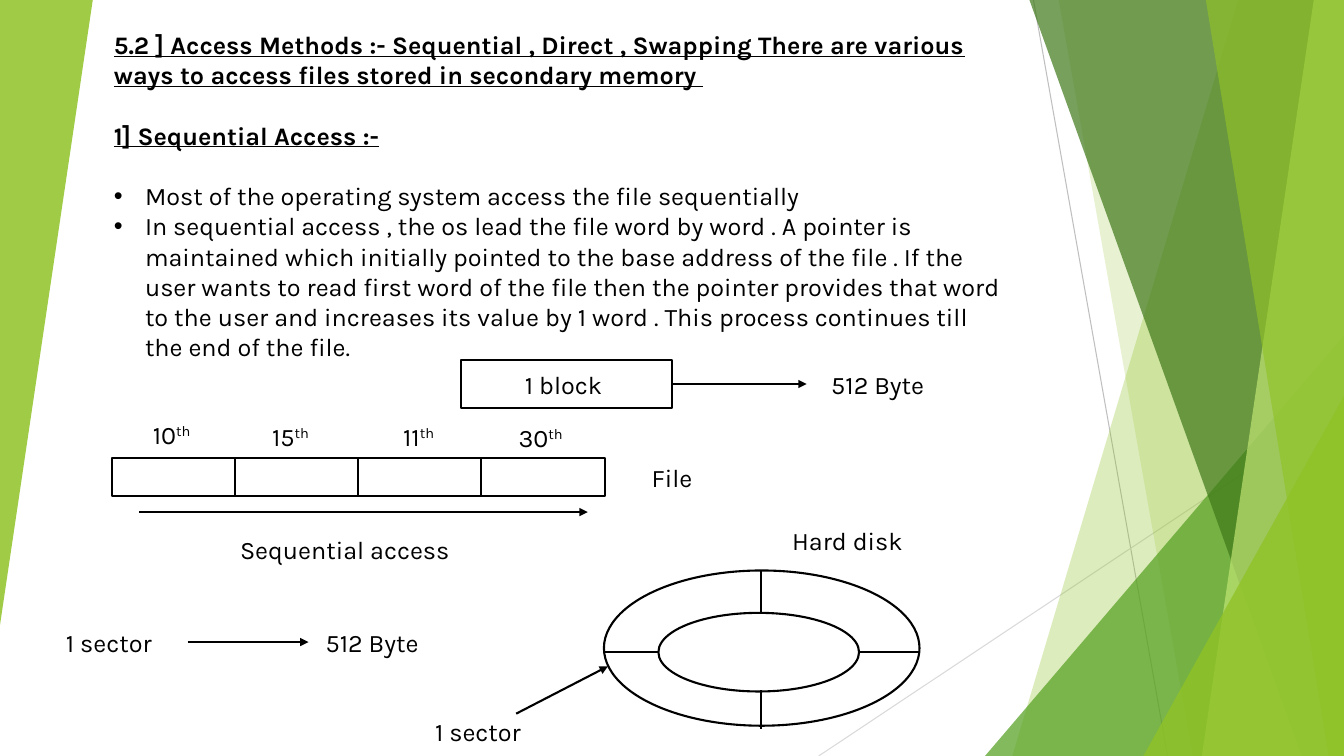
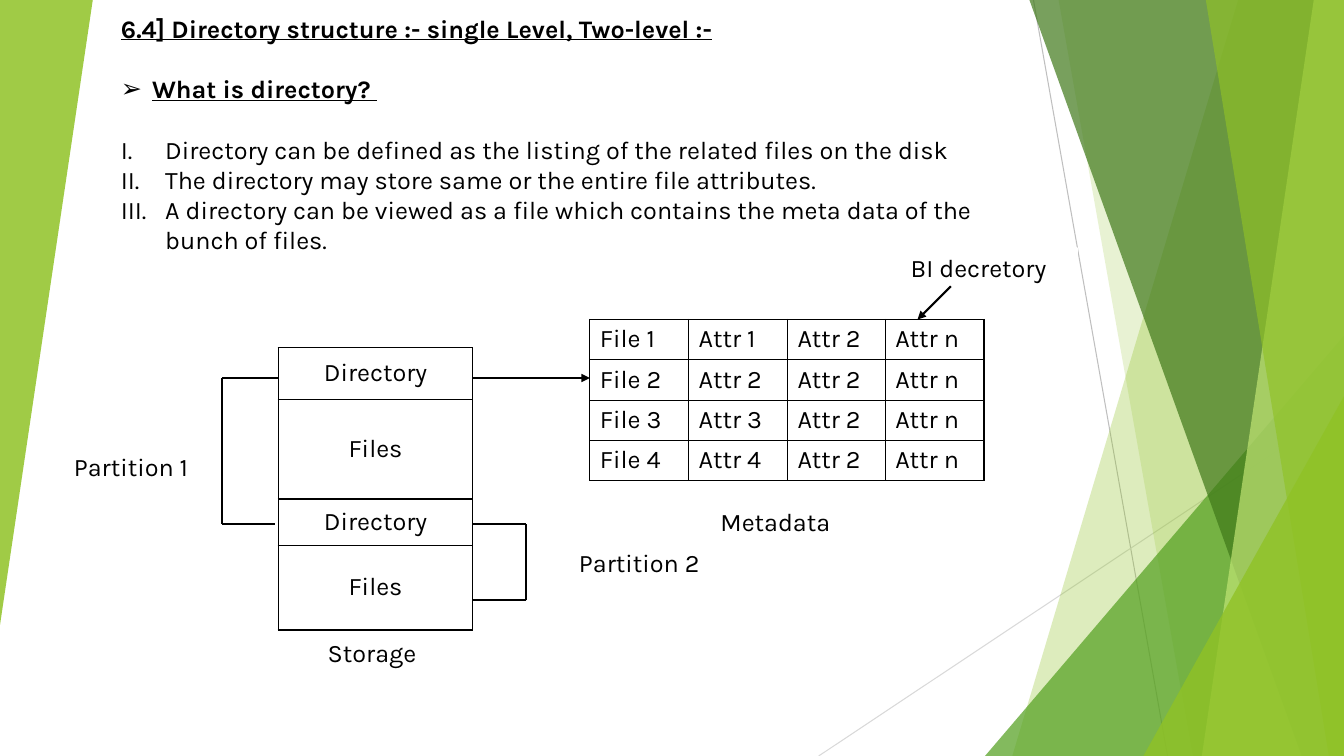
from lxml import etree
from pptx import Presentation
from pptx import util as u
from pptx.dml.color import RGBColor
from pptx.enum import shapes, text
from pptx.oxml import ns

PX = 9144
W, H = 1333, 750
FONT, SIZE = "Karla", 18
LINE_GAP = 21.6
INK, WHITE = "000000", "FFFFFF"
LIME, GREEN, FOREST, PALE = "90C226", "54A021", "3F7819", "C0E474"
RECT, OVAL, TRIANGLE = (shapes.MSO_SHAPE.RECTANGLE, shapes.MSO_SHAPE.OVAL,
                        shapes.MSO_SHAPE.ISOSCELES_TRIANGLE)

THIN_LINES = [((1025, 0), (1158, H), "BFBFBF"), ((W, 403), (812, H), "D9D9D9")]
FACETS = [
    ("band", (1228, 1004), LIME, 30),
    ("band", (1050, 1183), LIME, 20),
    ("triangle", (977, 333, 356, 417, 0), GREEN, 72),
    ("band", (1021, 1291), FOREST, 70),
    ("band", (1303, 1192), PALE, 70),
    ("band", (1196, 1318), LIME, 65),
    ("triangle", (1134, 393, 199, 357, 0), LIME, 80),
    ("triangle", (0, 0, 92, 620, 180), LIME, 85),
]

BULLET = ("buChar", {"char": "•"}, 31)
ARROW = ("buChar", {"char": "➢"}, 31)
ROMAN = ("buAutoNum", {"type": "romanUcPeriod"}, 44)

ACCESS = {
    "title": ("5.2 ] Access Methods :- Sequential , Direct , Swapping There are various "
              "ways to access files stored in secondary memory ", (103, 24, 905, 70)),
    "body": (103, 114, 905, 253),
    "paragraphs": [
        ("1] Sequential Access :-", None, True, False),
        ("Most of the operating system access the file sequentially", BULLET, False, True),
        ("In sequential access , the os lead the file word by word . A pointer is maintained "
         "which initially pointed to the base address of the file . If the user wants to read "
         "first word of the file then the pointer provides that word to the user and increases "
         "its value by 1 word . This process continues till the end of the file.",
         BULLET, False, False),
    ],
    "labels": [
        ("10|th ", (127, 418, 90, 25)), ("15|th ", (245, 418, 90, 29)),
        ("11|th ", (372, 418, 90, 29)), ("30|th ", (493, 418, 90, 31)),
        ("Sequential access ", (127, 528, 436, 35)), ("File ", (617, 461, 105, 25)),
        ("Hard disk ", (770, 519, 147, 35)), ("1 sector ", (418, 708, 118, 35)),
    ],
}
BLOCK = ("1 block ", (457, 357, 210, 48))
BLOCK_SIZE = ("512 Byte ", (800, 361, 147, 40))
SECTOR = ("1 sector ", (36, 613, 150, 48))
SECTOR_SIZE = ("512 Byte ", (306, 613, 132, 48))
FILE_CELLS, FILE_CELL, FILE_STEP = 4, (111, 454, 123, 38), 122
DISK_RINGS = [(599, 566, 313, 154), (653, 608, 199, 78)]
DISK_SPOKES = [((755, 566), (755, 607)), ((599, 647), (653, 647)),
               ((852, 647), (912, 647)), ((755, 685), (755, 723))]
ACCESS_ARROWS = [((138, 508), (583, 508)), ((512, 708), (603, 661))]

DIRECTORY = {
    "title": ("6.4] Directory structure :- single Level, Two-level :-", (110, 8, 896, 40)),
    "body": (110, 68, 896, 192),
    "paragraphs": [
        ("What is directory? ", ARROW, True, False),
        ("Directory can be defined as the listing of the related files on the disk",
         ROMAN, False, True),
        ("The directory may store same or the entire file attributes.", ROMAN, False, False),
        ("A directory can be viewed as a file which contains the meta data of the bunch of files.",
         ROMAN, False, False),
    ],
    "labels": [
        ("Partition 2", (549, 544, 170, 27)), ("Partition 1", (58, 447, 144, 32)),
        ("Storage ", (287, 634, 170, 27)), ("Metadata ", (663, 498, 218, 38)),
        ("BI decretory  ", (885, 246, 183, 38)),
    ],
}
STORAGE = [["Directory"], ["Files"], ["Directory"], ["Files"]]
METADATA = [
    ["File 1", "Attr 1", "Attr 2", "Attr n"],
    ["File 2", "Attr 2", "Attr 2", "Attr n"],
    ["File 3", "Attr 3", "Attr 2", "Attr n"],
    ["File 4", "Attr 4", "Attr 2", "Attr n"],
]
BRACKETS = [[(276, 375), (220, 375), (220, 520), (273, 520)],
            [(469, 520), (522, 520), (522, 595), (469, 595)]]
DIRECTORY_ARROWS = [((469, 375), (585, 375)), ((943, 284), (910, 317))]


def rgb(value):
    return RGBColor.from_string(value)


def emu(values):
    return [v * PX for v in values]


def sub(parent, tag, **attrs):
    return etree.SubElement(parent, ns.qn("a:" + tag), attrs)


def style(font, bold=False):
    font.name, font.size, font.bold, font.underline = FONT, u.Pt(SIZE), bold, bold
    font.color.rgb = rgb(INK)


def add_line(s, start, end, color=INK, width=1.5, arrow=False):
    c = s.shapes.add_connector(shapes.MSO_CONNECTOR.STRAIGHT, *emu(start + end))
    c.line.color.rgb, c.line.width = rgb(color), u.Pt(width)
    if arrow:
        sub(c.element.xpath(".//a:ln")[0], "tailEnd", type="triangle")
    sub(c.element.spPr, "effectLst")
    return c


def add_box(s, box, label="", kind=RECT, line=INK):
    sp = s.shapes.add_shape(kind, *emu(box))
    sp.shadow.inherit = False
    sp.fill.solid()
    sp.fill.fore_color.rgb = rgb(WHITE)
    sp.line.color.rgb, sp.line.width = rgb(line), u.Pt(1.5)
    if label:
        p = sp.text_frame.paragraphs[0]
        p.alignment = text.PP_ALIGN.CENTER
        for i, part in enumerate(label.split("|")):
            r = p.add_run()
            r.text = part
            style(r.font)
            if i:
                r._r.get_or_add_rPr().set("baseline", "30000")
    return sp


def add_label(s, label, box):
    return add_box(s, box, label, line=WHITE)


def join(s, left, right):
    c = add_line(s, (0, 0), (1, 1), arrow=True)
    c.begin_connect(left, 3)
    c.end_connect(right, 1)


def add_facet(s, kind, place, color, alpha):
    if kind == "band":
        top, bottom = place
        outline = s.shapes.build_freeform(top * PX, 0, scale=1.0)
        outline.add_line_segments([emu(pt) for pt in ((W, 0), (W, H), (bottom, H))])
        sp = outline.convert_to_shape()
    else:
        sp = s.shapes.add_shape(TRIANGLE, *emu(place[:4]))
        sp.adjustments[0] = 1
        sp.rotation = place[4]
    sp.shadow.inherit = False
    sp.fill.solid()
    sp.fill.fore_color.rgb = rgb(color)
    sp.line.fill.background()
    sub(sp.element.xpath(".//a:solidFill/a:srgbClr")[0], "alpha", val=str(alpha * 1000))
    return sp


def decorate(layout, s):
    art = [add_line(s, *spec, width=0.75) for spec in THIN_LINES]
    art += [add_facet(s, *facet) for facet in FACETS]
    for i, sp in enumerate(art):
        sp.element.xpath(".//p:cNvPr")[0].set("id", str(100 + i))
        layout.shapes.element.append(sp.element)


def place_text(sp, box):
    sp.left, sp.top, sp.width, sp.height = emu(box)
    tf = sp.text_frame
    tf.word_wrap, tf.auto_size = True, text.MSO_AUTO_SIZE.NONE
    tf.vertical_anchor = text.MSO_ANCHOR.TOP
    return tf


def add_content(s, content):
    title, box = content["title"]
    tf = place_text(s.shapes.title, box)
    tf.text = title
    tf.paragraphs[0].alignment = text.PP_ALIGN.LEFT
    style(tf.paragraphs[0].runs[0].font, True)

    box = content["body"]
    tf = place_text(s.shapes.add_textbox(*emu(box)), box)
    for i, (words, bullet, bold, gap) in enumerate(content["paragraphs"]):
        p = tf.add_paragraph() if i else tf.paragraphs[0]
        p.text = words
        if gap:
            p.space_before = u.Pt(LINE_GAP)
        if bullet:
            tag, attrs, indent = bullet
            pPr = p._p.get_or_add_pPr()
            pPr.set("marL", str(indent * PX))
            pPr.set("indent", str(-indent * PX))
            if tag == "buChar":
                sub(pPr, "buFont", typeface="Arial")
            sub(pPr, tag, **attrs)
        style(p.runs[0].font, bold)
    for label in content["labels"]:
        add_label(s, *label)


def add_grid(s, rows, left, top, widths, heights, centred=False):
    frame = s.shapes.add_table(len(rows), len(widths),
                               *emu((left, top, sum(widths), sum(heights))))
    tbl = frame.table
    tbl.first_row = tbl.horz_banding = False
    for col, width in zip(tbl.columns, widths):
        col.width = width * PX
    for row, height, words in zip(tbl.rows, heights, rows):
        row.height = height * PX
        for cell, word in zip(row.cells, words):
            cell.text = word
            cell.fill.background()
            p = cell.text_frame.paragraphs[0]
            if centred:
                p.alignment = text.PP_ALIGN.CENTER
                cell.vertical_anchor = text.MSO_ANCHOR.MIDDLE
            style(p.runs[0].font)
            tcPr = cell._tc.get_or_add_tcPr()
            for i, side in enumerate("LRTB"):
                ln = sub(tcPr, "ln" + side, w="12700")
                sub(sub(ln, "solidFill"), "srgbClr", val=INK)
                tcPr.insert(i, ln)


def build_access(s):
    add_content(s, ACCESS)
    block = add_box(s, BLOCK[1], BLOCK[0])
    join(s, block, add_label(s, *BLOCK_SIZE))
    join(s, add_label(s, *SECTOR), add_label(s, *SECTOR_SIZE))
    left, top, width, height = FILE_CELL
    for i in range(FILE_CELLS):
        add_box(s, (left + i * FILE_STEP, top, width, height))
    for ring in DISK_RINGS:
        add_box(s, ring, kind=OVAL)
    for spoke in DISK_SPOKES:
        add_line(s, *spoke)
    for arrow in ACCESS_ARROWS:
        add_line(s, *arrow, arrow=True)


def build_directory(s):
    add_content(s, DIRECTORY)
    add_grid(s, STORAGE, 276, 345, [193], [51, 99, 46, 84], centred=True)
    add_grid(s, METADATA, 585, 317, [98, 98, 97, 98], [40] * 4)
    for points in BRACKETS:
        for start, end in zip(points, points[1:]):
            add_line(s, start, end)
    for arrow in DIRECTORY_ARROWS:
        add_line(s, *arrow, arrow=True)


def main():
    prs = Presentation()
    prs.slide_width, prs.slide_height = emu((W, H))
    layout = prs.slide_layouts[5]
    for i, build in enumerate((build_access, build_directory)):
        s = prs.slides.add_slide(layout)
        if i == 0:
            decorate(layout, s)
        build(s)
    prs.save("out.pptx")


if __name__ == "__main__":
    main()
